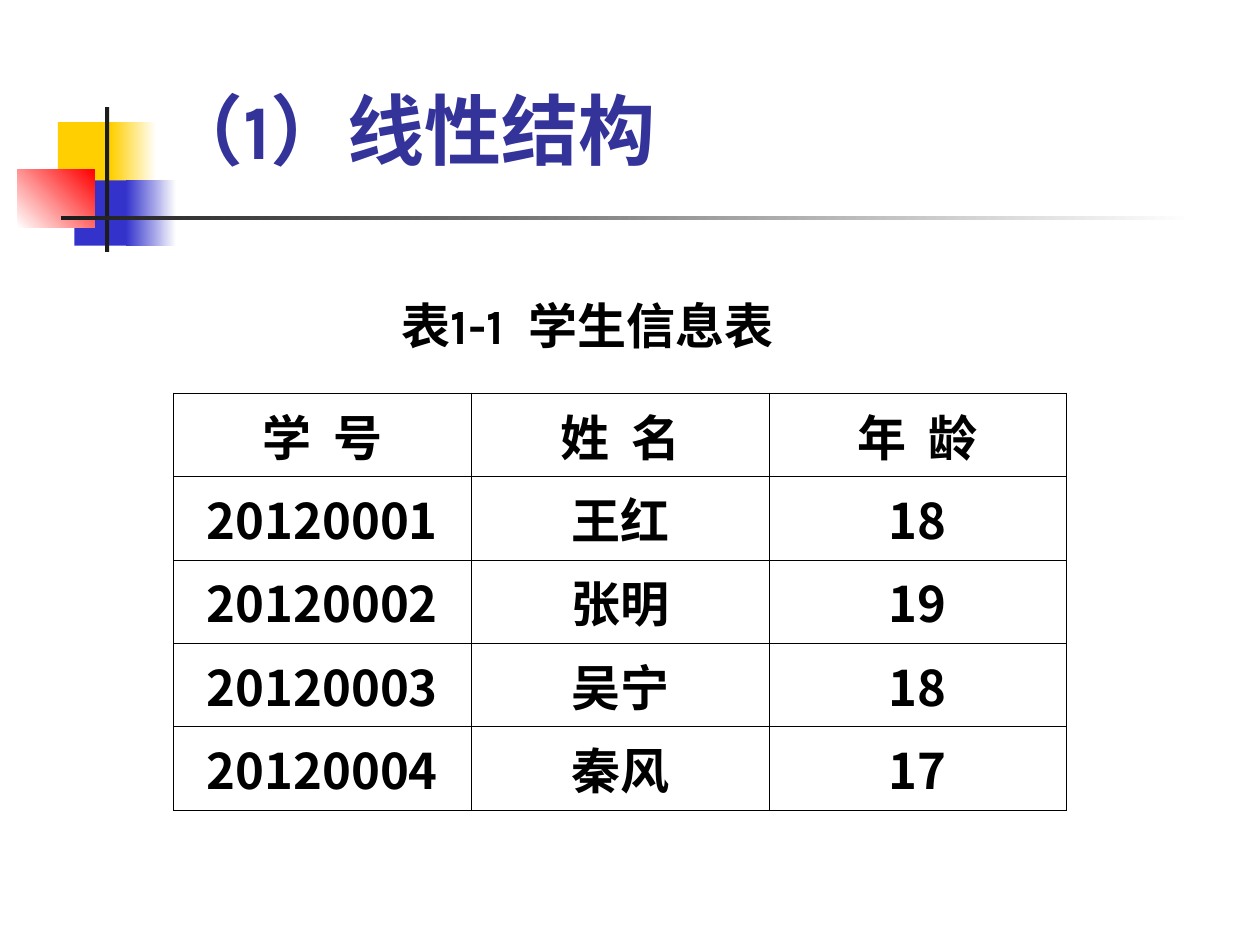
from lxml.etree import SubElement
from pptx import Presentation
from pptx.dml.color import RGBColor as RGB
from pptx.enum.shapes import MSO_SHAPE as SHAPE
from pptx.enum.text import MSO_ANCHOR as ANCHOR, PP_ALIGN as ALIGN
from pptx.oxml import parse_xml
from pptx.oxml.ns import nsdecls, qn
from pptx.util import Pt

COLORS = {"yellow": "FFCF01", "blue": "3333CC", "red": "FF0000", "white": "FFFFFF",
          "dark": "1C1C1C", "title": "333399", "black": "000000"}


def color(name):
    return RGB.from_string(COLORS[name])


def write(tf, text, **fmt):
    p = tf.paragraphs[0]
    p.alignment = fmt.pop("align")
    r = p.add_run()
    r.text = text
    r.font.color.rgb = color(fmt.pop("color"))
    for key, value in fmt.items():
        setattr(r.font, key, value)
    SubElement(r.font._element, qn("a:ea"), typeface="Noto Sans CJK SC")


prs = Presentation()
prs.slide_width, prs.slide_height = Pt(720), Pt(540)
s = prs.slides.add_slide(prs.slide_layouts[5])

# Coloured blocks and rules: left, top, width, height, colours, angle
blocks = [
    (33.1, 69.8, 34.6, 37.4, ["yellow"], 0),
    (63.4, 69.8, 25.9, 37.4, ["yellow", "white"], 0),
    (42.5, 103, 33.1, 37.4, ["blue"], 0),
    (72, 103, 28.8, 37.4, ["blue", "white"], 0),
    (10, 97, 44.2, 33.1, ["white", "red"], 45),
    (60, 61.2, 2.4, 82.8, ["dark"], 0),
    (34.6, 123.4, 648, 2.2, ["dark", "white"], 0),
]
for left, top, width, height, names, angle in blocks:
    sp = s.shapes.add_shape(SHAPE.RECTANGLE, Pt(left), Pt(top), Pt(width), Pt(height))
    sp.shadow.inherit = False
    sp.line.fill.background()
    if len(names) == 1:
        sp.fill.solid()
        sp.fill.fore_color.rgb = color(names[0])
    else:
        sp.fill.gradient()
        sp.fill.gradient_angle = angle
        for stop, name in zip(sp.fill.gradient_stops, names):
            stop.color.rgb = color(name)

# Title, in front of the blocks
title = s.shapes.title
title.left, title.top, title.width, title.height = Pt(87.8), Pt(37.4), Pt(613.4), Pt(66.2)
title.text_frame.vertical_anchor = ANCHOR.BOTTOM
write(title.text_frame, "（1）线性结构", align=ALIGN.LEFT, color="title",
      size=Pt(44), bold=True, name="Karla")
title.element.getparent().append(title.element)

# Student table
rows = [
    ("学  号", "姓  名", "年  龄"),
    ("20120001", "王红", "18"),
    ("20120002", "张明", "19"),
    ("20120003", "吴宁", "18"),
    ("20120004", "秦风", "17"),
]
table = s.shapes.add_table(len(rows), 3, Pt(99.2), Pt(224.6), Pt(510.3), Pt(216.7)).table
table.first_row = table.horz_banding = False
for i, row in enumerate(rows):
    for j, text in enumerate(row):
        cell = table.cell(i, j)
        cell.vertical_anchor = ANCHOR.TOP
        cell.fill.background()
        write(cell.text_frame, text, align=ALIGN.CENTER, color="black",
              size=Pt(28), bold=True, name="Noto Sans CJK SC")
        # The line under the header row is heavier
        widths = {"L": 0.45, "R": 0.45, "T": 0.96 if i == 1 else 0.45,
                  "B": 0.96 if i == 0 else 0.45}
        tcPr = cell._tc.get_or_add_tcPr()
        for k, (side, width) in enumerate(widths.items()):
            tcPr.insert(k, parse_xml(
                f'<a:ln{side} {nsdecls("a")} w="{Pt(width)}"><a:solidFill>'
                f'<a:srgbClr val="{COLORS["black"]}"/></a:solidFill></a:ln{side}>'))

# Table caption
tf = s.shapes.add_textbox(Pt(133.2), Pt(157), Pt(414), Pt(49)).text_frame
tf.word_wrap = True
tf.vertical_anchor = ANCHOR.BOTTOM
tf.margin_right = Pt(16)
write(tf, "表1-1  学生信息表", align=ALIGN.CENTER, color="black",
      size=Pt(28), bold=True, name="Karla")

prs.save("out.pptx")
